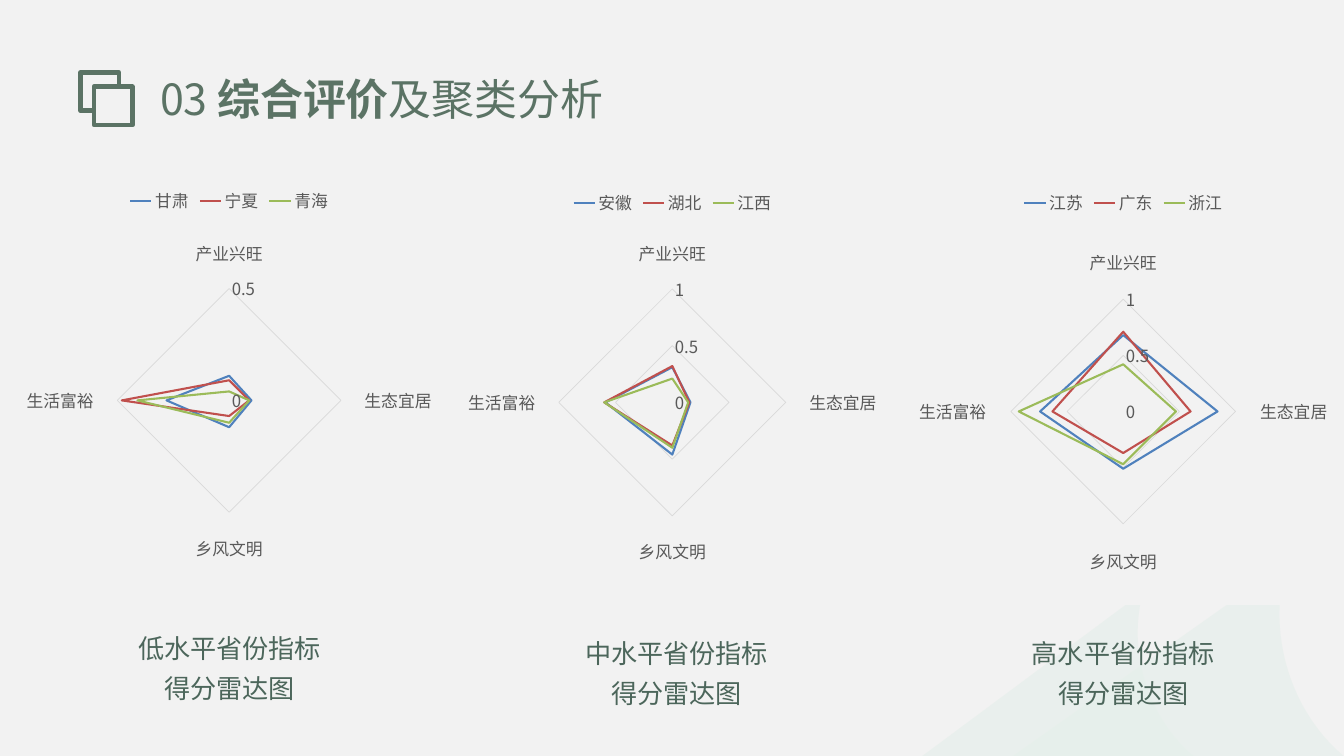
"""Builds a slide with three radar charts comparing groups of provinces."""
from lxml.etree import SubElement
from pptx import Presentation
from pptx.chart.data import CategoryChartData
from pptx.dml.color import RGBColor
from pptx.enum.chart import XL_CHART_TYPE as ChartKind
from pptx.enum.chart import XL_LEGEND_POSITION as LegendSide
from pptx.enum.chart import XL_TICK_MARK as Tick
from pptx.enum.shapes import MSO_SHAPE as Preset
from pptx.enum.text import MSO_ANCHOR as Anchor
from pptx.enum.text import MSO_AUTO_SIZE as Fit
from pptx.enum.text import PP_ALIGN as Align
from pptx.oxml import parse_xml
from pptx.oxml.ns import nsdecls, qn
from pptx.util import Inches, Pt

COLUMNS, ROWS = 20, 11.25
FONT = "Noto Sans CJK SC"
PAPER, GREEN, DARK_GREEN, MINT = "F2F2F2", "5B7365", "4C665B", "E6EFEB"
GREY, PALE_GREY = "595959", "D9D9D9"
SERIES_COLOURS = ["4F81BD", "C0504D", "9BBB59"]
INDICATORS = ["产业兴旺", "生态宜居", "乡风文明", "生活富裕"]

GROUPS = [
    ("低水平", (1.21, 9.27), (0.27, 2.68, 6.28, 6.02), 0.5, {
        "甘肃": [0.11, 0.1, 0.12, 0.28],
        "宁夏": [0.09, 0.09, 0.07, 0.48],
        "青海": [0.04, 0.09, 0.1, 0.41]}),
    ("中水平", (7.86, 9.35), (6.84, 2.71, 6.33, 6.02), 1, {
        "安徽": [0.31, 0.16, 0.46, 0.59],
        "湖北": [0.32, 0.15, 0.38, 0.6],
        "江西": [0.21, 0.14, 0.4, 0.6]}),
    ("高水平", (14.51, 9.35), (13.55, 2.71, 6.33, 6.29), 1, {
        "江苏": [0.68, 0.84, 0.51, 0.74],
        "广东": [0.71, 0.6, 0.37, 0.63],
        "浙江": [0.42, 0.47, 0.47, 0.93]}),
]

LEAVES = [
    ((19.15, 8.37), (15.03, 11.28), (20.08, 11.32), (19.19, 10.63), (18.84, 9.4)),
    ((17.01, 8.81), (13.66, 11.3), (17.83, 11.31), (17.08, 10.73), (16.77, 9.69)),
]


def colour(code):
    """Turn a hex string into a colour."""
    return RGBColor.from_string(code)


def curve(points, steps=24):
    """Sample a cubic Bezier curve given by four points."""
    weights = [((1 - t) ** 3, 3 * t * (1 - t) ** 2, 3 * t * t * (1 - t), t ** 3)
               for t in (step / steps for step in range(1, steps + 1))]
    return [tuple(sum(w * p[axis] for w, p in zip(row, points)) for axis in (0, 1))
            for row in weights]


class Painter:
    """Holds the style and the current slide."""

    def __init__(self, deck):
        """Add a title-only page on the paper colour."""
        self.cell = deck.slide_width / COLUMNS
        self.page = deck.slides.add_slide(deck.slide_layouts[5])
        self.page.background.fill.solid()
        self.page.background.fill.fore_color.rgb = colour(PAPER)

    def cells(self, *counts):
        """Convert grid cells to slide lengths."""
        return [round(count * self.cell) for count in counts]

    def style(self, font, size, code, bold=None):
        """Set the face, size and colour of a font."""
        font.name, font.size, font.bold = FONT, Pt(size), bold
        font.color.rgb = colour(code)

    def set_text(self, box, lines, size, code, spacing):
        """Fill a box with centred lines of (text, bold) runs."""
        frame = box.text_frame
        frame.margin_left = frame.margin_right = 0
        frame.margin_top = frame.margin_bottom = 0
        frame.word_wrap = True
        frame.vertical_anchor = Anchor.TOP
        frame.auto_size = Fit.SHAPE_TO_FIT_TEXT
        for number, runs in enumerate(lines):
            para = frame.add_paragraph() if number else frame.paragraphs[0]
            para.alignment, para.line_spacing = Align.CENTER, Pt(spacing)
            for text, bold in runs:
                span = para.add_run()
                span.text = text
                self.style(span.font, size, code, bold)
        self.add_east_asian(box.element)

    def add_east_asian(self, element):
        """Give every Latin font choice its East Asian twin."""
        for latin in list(element.iter(qn("a:latin"))):
            latin.addnext(parse_xml(f'<a:ea {nsdecls("a")} typeface="{FONT}"/>'))

    def title(self, runs, *place):
        """Place and fill the title."""
        box = self.page.shapes.title
        box.left, box.top, box.width, box.height = self.cells(*place)
        self.set_text(box, [runs], 46, GREEN, 44.4)

    def caption(self, lines, *place):
        """Add the caption under a chart."""
        box = self.page.shapes.add_textbox(*self.cells(*place))
        self.set_text(box, [[(line, False)] for line in lines], 28, DARK_GREEN, 43.2)

    def square(self, column, row, side):
        """Draw one outlined square of the title icon."""
        box = self.page.shapes.add_shape(
            Preset.RECTANGLE, *self.cells(column, row, side, side))
        box.shadow.inherit = False
        box.fill.solid()
        box.fill.fore_color.rgb = colour(PAPER)
        box.line.color.rgb = colour(GREEN)
        box.line.width = Pt(5)
        SubElement(box.element.spPr.find(qn("a:ln")), qn("a:round"))

    def leaf(self, tip, left, right, *handles):
        """Draw a translucent leaf with one curved side."""
        outline = [left, right] + curve([right, *handles, tip])
        builder = self.page.shapes.build_freeform(*self.cells(*tip))
        builder.add_line_segments([self.cells(*point) for point in outline])
        shape = builder.convert_to_shape()
        shape.shadow.inherit = False
        shape.line.fill.background()
        shape.fill.solid()
        shape.fill.fore_color.rgb = colour(MINT)
        tint = shape.element.spPr.find(qn("a:solidFill"))[0]
        SubElement(tint, qn("a:alpha"), val="70000")

    def radar(self, scores, maximum, *place):
        """Draw a radar chart of the indicators."""
        data = CategoryChartData()
        data.categories = INDICATORS
        for province, values in scores.items():
            data.add_series(province, values)
        chart = self.page.shapes.add_chart(
            ChartKind.RADAR, *self.cells(*place), data).chart
        self.style(chart.font, 18, "000000")
        chart.has_title = False
        chart.has_legend = True
        chart.legend.position = LegendSide.TOP
        chart.legend.include_in_layout = False
        self.style(chart.legend.font, 18, GREY)
        spokes, scale = chart.category_axis, chart.value_axis
        for axis in (spokes, scale):
            axis.major_tick_mark = axis.minor_tick_mark = Tick.NONE
            self.style(axis.tick_labels.font, 18, GREY)
        scale.minimum_scale, scale.maximum_scale = 0, maximum
        scale.major_unit = 0.5
        scale.has_major_gridlines = True
        scale.format.line.fill.background()
        for line in (spokes.format.line, scale.major_gridlines.format.line):
            line.color.rgb = colour(PALE_GREY)
            line.width = Pt(0.75)
        chart.plots[0].vary_by_categories = False
        for series, code in zip(chart.plots[0].series, SERIES_COLOURS):
            series.format.line.color.rgb = colour(code)
            series.format.line.width = Pt(2.25)
        chart.element.find(qn("c:chart")).addnext(parse_xml(
            f'<c:spPr {nsdecls("c", "a")}><a:solidFill><a:srgbClr val="{PAPER}"/>'
            '</a:solidFill><a:ln><a:noFill/></a:ln></c:spPr>'))
        self.add_east_asian(chart.element)


def main():
    """Build and save the slide."""
    deck = Presentation()
    deck.slide_width, deck.slide_height = Inches(COLUMNS), Inches(ROWS)
    painter = Painter(deck)
    for leaf in LEAVES:
        painter.leaf(*leaf)
    for corner in ((1.2, 1.08), (1.4, 1.29)):
        painter.square(*corner, 0.57)
    painter.title([("03 ", False), ("综合评价", True), ("及聚类分析", False)],
                  2.25, 1.23, 6.86, 0.64)
    for level, corner, place, maximum, scores in GROUPS:
        painter.radar(scores, maximum, *place)
        painter.caption([f"{level}省份指标", "得分雷达图"], *corner, 4.41, 1.21)
    deck.save("out.pptx")


if __name__ == "__main__":
    main()
